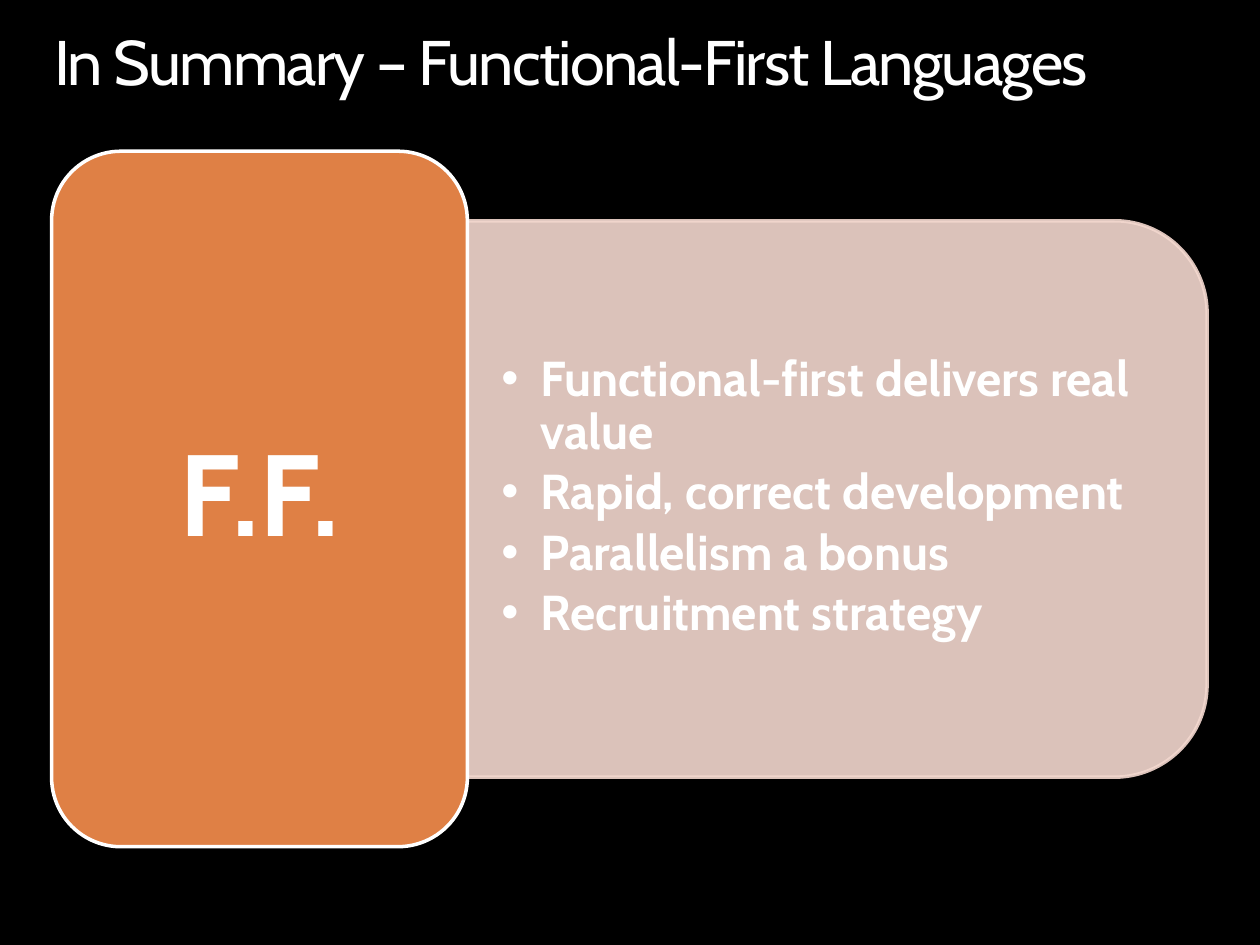
from lxml.etree import SubElement
from pptx import Presentation
from pptx.dml.color import RGBColor
from pptx.enum.shapes import MSO_SHAPE
from pptx.enum.text import MSO_ANCHOR, MSO_AUTO_SIZE, PP_ALIGN
from pptx.oxml.ns import qn
from pptx.util import Inches, Pt


def rgb(value):
    return RGBColor.from_string(value)


def write(p, text, size, font="Cabin", color="FFFFFF", bold=False,
          align=PP_ALIGN.LEFT, after=0, spacing=None):
    p.alignment = align
    p.line_spacing = 0.9
    p.space_before = Pt(0)
    p.space_after = Pt(after)
    r = p.add_run()
    r.text = text
    r.font.name, r.font.size, r.font.bold = font, Pt(size), bold
    r.font.color.rgb = rgb(color)
    if spacing is not None:
        r.font._element.set("spc", str(int(spacing * 100)))


class Deck:
    """Holds the style and the current slide, with lengths as shares of its size."""

    background = "000000"
    accent = "DF8045"
    panel_color = "F3D8CF"
    white = "FFFFFF"

    def __init__(self, width=10, height=7.5):
        self.prs = Presentation()
        self.prs.slide_width = Inches(width)
        self.prs.slide_height = Inches(height)
        self.s = self.prs.slides.add_slide(self.prs.slide_layouts[1])
        fill = self.s.background.fill
        fill.solid()
        fill.fore_color.rgb = rgb(self.background)

    def box(self, x, y, w, h):
        width, height = self.prs.slide_width, self.prs.slide_height
        return int(x * width), int(y * height), int(w * width), int(h * height)

    def frame(self, sp, anchor, inset_x=0, inset_y=0):
        tf = sp.text_frame
        tf.word_wrap = True
        tf.auto_size = MSO_AUTO_SIZE.NONE
        tf.vertical_anchor = anchor
        tf.margin_left = tf.margin_right = Inches(inset_x)
        tf.margin_top = tf.margin_bottom = Inches(inset_y)
        return tf

    def place(self, sp, x, y, w, h):
        sp.left, sp.top, sp.width, sp.height = self.box(x, y, w, h)

    def title(self, text, *area):
        sp = self.s.shapes.title
        self.place(sp, *area)
        tf = self.frame(sp, MSO_ANCHOR.TOP)
        write(tf.paragraphs[0], text, 36, spacing=-1)

    def shape(self, kind, area, fill, line, opacity=None):
        sp = self.s.shapes.add_shape(kind, *self.box(*area))
        sp.shadow.inherit = False
        sp.fill.solid()
        sp.fill.fore_color.rgb = rgb(fill)
        sp.line.color.rgb = rgb(line)
        sp.line.width = Pt(2)
        if opacity is not None:
            for color in sp._element.spPr.iter(qn("a:srgbClr")):
                SubElement(color, qn("a:alpha")).set("val", str(opacity * 1000))
        return sp

    def panel(self, x, y, w, h):
        width, height = self.prs.slide_width, self.prs.slide_height
        turned_w, turned_h = h * height / width, w * width / height
        area = (x + (w - turned_w) / 2, y + (h - turned_h) / 2, turned_w, turned_h)
        sp = self.shape(MSO_SHAPE.ROUND_2_SAME_RECTANGLE, area,
                        self.panel_color, self.panel_color, opacity=90)
        sp.rotation = 90

    def tile(self, text, *area):
        sp = self.shape(MSO_SHAPE.ROUNDED_RECTANGLE, area, self.accent, self.white)
        tf = self.frame(sp, MSO_ANCHOR.MIDDLE, 0.28, 0.14)
        write(tf.paragraphs[0], text, 66, bold=True, align=PP_ALIGN.CENTER)

    def bullets(self, items, *area):
        sp = self.s.placeholders[1]
        self.s.shapes._spTree.append(sp._element)
        self.place(sp, *area)
        tf = self.frame(sp, MSO_ANCHOR.MIDDLE, 0.27, 0.14)
        for i, item in enumerate(items):
            p = tf.add_paragraph() if i else tf.paragraphs[0]
            pPr = p._p.get_or_add_pPr()
            pPr.set("marL", str(Inches(0.31)))
            pPr.set("indent", str(-Inches(0.31)))
            SubElement(pPr, qn("a:buChar")).set("char", "•")
            write(p, item, 28, bold=True, after=28 * 0.15)

    def save(self):
        self.prs.save("out.pptx")


def main():
    deck = Deck()
    left, split, right = 0.041, 0.371, 0.958
    top, height = 0.16, 0.736
    inset = height / 10
    deck.title("In Summary – Functional-First Languages", 0.043, 0.033, 0.915, 0.073)
    deck.panel(split, top + inset, right - split, height - 2 * inset)
    deck.tile("F.F.", left, top, split - left, height)
    deck.bullets(
        ["Functional-first delivers real value", "Rapid, correct development",
         "Parallelism a bonus", "Recruitment strategy"],
        split, 0.261, 0.565, 0.531)
    deck.save()


if __name__ == "__main__":
    main()
